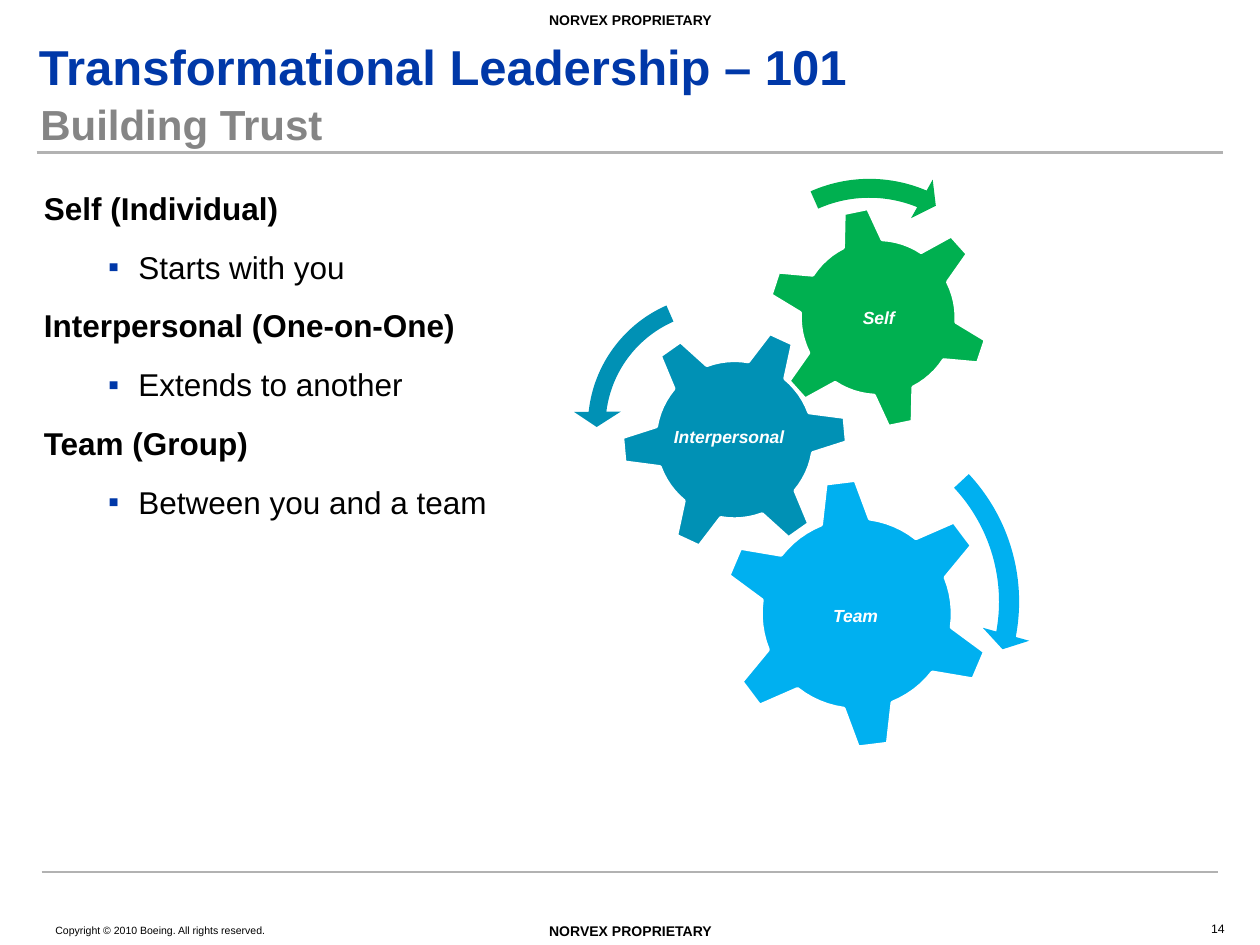
"""Build the Building Trust slide with its three meshing gears."""
from dataclasses import dataclass
from math import cos, radians, sin
from typing import NamedTuple

from lxml.etree import SubElement
from pptx import Presentation
from pptx.dml.color import RGBColor
from pptx.enum.shapes import MSO_CONNECTOR, MSO_SHAPE
from pptx.enum.text import MSO_ANCHOR, MSO_AUTO_SIZE, PP_ALIGN
from pptx.oxml.ns import qn
from pptx.util import Inches, Pt


@dataclass(frozen=True)
class Theme:
    font: str = "Arial"
    black: str = "000000"
    white: str = "FFFFFF"
    blue: str = "0038A8"
    gray: str = "858585"
    rule: str = "B2B2B2"
    green: str = "00B050"
    teal: str = "0091B5"
    sky: str = "00B0F0"
    heading_size: float = 28
    title_size: float = 24
    body_size: float = 18
    label_size: float = 10
    marking_size: float = 8
    number_size: float = 7
    copyright_size: float = 6


class Box(NamedTuple):
    left: float
    top: float
    width: float
    height: float


class Gear(NamedTuple):
    center_x: float
    center_y: float
    root_radius: float
    tip_radius: float
    first_tooth: float
    color: str


class TurnArrow(NamedTuple):
    preset: MSO_SHAPE
    box: Box
    rotation: float
    adjustments: tuple
    color: str


class Label(NamedTuple):
    text: str
    box: Box
    size: float
    color: str = "000000"
    bold: bool = False
    italic: bool = False
    align: PP_ALIGN = PP_ALIGN.LEFT
    anchor: MSO_ANCHOR = MSO_ANCHOR.TOP
    inset: float = 0.01
    left_inset: float = 0.01
    wrap: bool = True


class Topic(NamedTuple):
    heading: str
    detail: str


THEME = Theme()
TEETH = 6
ROOT_HALF_ANGLE = 14.8
TIP_HALF_ANGLE = 6.4
ARC_STEPS = 6

RULES = [(0.29, 9.71, 1.21, 2), (0.33, 9.67, 6.92, 1.5)]
TOPICS = [
    Topic("Self (Individual)", "Starts with you"),
    Topic("Interpersonal (One-on-One)", "Extends to another"),
    Topic("Team (Group)", "Between you and a team"),
]
GEARS = [
    Gear(5.83, 3.49, 0.63, 0.89, -5.2, THEME.teal),
    Gear(6.97, 2.52, 0.62, 0.87, -41.8, THEME.green),
    Gear(6.8, 4.87, 0.76, 1.06, -37, THEME.sky),
]
ARROWS = [
    TurnArrow(MSO_SHAPE.CIRCULAR_ARROW, Box(5.01, 3.18, 3.19, 3.19), 328.7,
              (0.05, 2.99, 25.15, 208.95, 0.06), THEME.sky),
    TurnArrow(MSO_SHAPE.LEFT_CIRCULAR_ARROW, Box(4.55, 2.22, 2.32, 2.32), 11.8,
              (0.06, 4.3, 104.89, 140.65, 0.08), THEME.teal),
    TurnArrow(MSO_SHAPE.CIRCULAR_ARROW, Box(5.65, 1.32, 2.5, 2.5), 70.9,
              (0.06, 3.94, 133.14, 105.08, 0.07), THEME.green),
]


def gear_label(text: str, box: Box, align: PP_ALIGN = PP_ALIGN.CENTER) -> Label:
    """Describe a white label lying on a gear."""
    return Label(text, box, THEME.label_size, THEME.white, True, True, align,
                 inset=0.05, left_inset=0.1)


def marking(top: float) -> Label:
    """Describe the proprietary marking at the given height."""
    return Label("NORVEX PROPRIETARY", Box(4.35, top, 1.31, 0.15), THEME.marking_size,
                 bold=True, align=PP_ALIGN.CENTER, wrap=False)


TITLE = Label("Building Trust", Box(0, 0.71, 10, 0.49), THEME.title_size, THEME.gray,
              True, anchor=MSO_ANCHOR.BOTTOM, left_inset=0.32)
LABELS = [
    marking(0.08),
    marking(7.31),
    Label("Copyright © 2010 Boeing. All rights reserved.", Box(0.43, 7.32, 2.93, 0.12),
          THEME.copyright_size),
    Label("Transformational Leadership – 101", Box(0, 0.28, 10, 0.48), THEME.heading_size,
          THEME.blue, True, anchor=MSO_ANCHOR.BOTTOM, inset=0, left_inset=0.31),
    Label("14", Box(6.99, 7.25, 2.74, 0.24), THEME.number_size, align=PP_ALIGN.RIGHT,
          anchor=MSO_ANCHOR.MIDDLE),
    gear_label("Interpersonal", Box(5.25, 3.33, 1.17, 0.27), PP_ALIGN.LEFT),
    gear_label("Self", Box(6.39, 2.39, 1.17, 0.27)),
    gear_label("Team", Box(6.08, 4.75, 1.42, 0.27)),
]


def set_font(paragraph, size: float, color: str, bold: bool, italic: bool = False) -> None:
    """Format a whole paragraph."""
    font = paragraph.font
    font.name, font.size, font.bold, font.italic = THEME.font, Pt(size), bold, italic
    font.color.rgb = RGBColor.from_string(color)


def write_label(shape, label: Label) -> None:
    """Place a shape and fill it with the label's single paragraph."""
    shape.left, shape.top, shape.width, shape.height = map(Inches, label.box)
    frame = shape.text_frame
    frame.auto_size = MSO_AUTO_SIZE.NONE
    frame.word_wrap = label.wrap
    frame.vertical_anchor = label.anchor
    frame.margin_top = frame.margin_bottom = Inches(label.inset)
    frame.margin_left = Inches(label.left_inset)
    frame.margin_right = Inches(0.1 if label.italic else label.inset)
    paragraph = frame.paragraphs[0]
    paragraph.text = label.text
    paragraph.alignment = label.align
    set_font(paragraph, label.size, label.color, label.bold, label.italic)


def draw_rule(slide, start: float, end: float, top: float, width: float) -> None:
    """Draw a horizontal gray rule."""
    line = slide.shapes.add_connector(MSO_CONNECTOR.STRAIGHT, Inches(start), Inches(top),
                                      Inches(end), Inches(top))
    line.line.color.rgb = RGBColor.from_string(THEME.rule)
    line.line.width = Pt(width)
    SubElement(line._element.spPr, qn("a:effectLst"))


def draw_topics(slide) -> None:
    """Write each topic as a bold heading and a bulleted detail."""
    frame = slide.shapes.add_textbox(*map(Inches, (0.25, 1.45, 8.83, 5.12))).text_frame
    frame.word_wrap = True
    lines = [(text, text == topic.heading) for topic in TOPICS for text in topic]
    for index, (text, is_heading) in enumerate(lines):
        paragraph = frame.add_paragraph() if index else frame.paragraphs[0]
        paragraph.text = text
        paragraph.space_after = Pt(12)
        if not is_heading:
            properties = paragraph._p.get_or_add_pPr()
            properties.set("marL", str(Inches(0.75)))
            properties.set("indent", str(Inches(-0.24)))
            color = SubElement(properties, qn("a:buClr"))
            SubElement(color, qn("a:srgbClr"), val=THEME.blue)
            SubElement(properties, qn("a:buFont"), typeface=THEME.font)
            SubElement(properties, qn("a:buChar"), char="▪")
        set_font(paragraph, THEME.body_size, THEME.black, is_heading)


def draw_gear(slide, gear: Gear) -> None:
    """Outline a gear from evenly spaced teeth joined by root arcs."""
    def point(radius: float, angle: float) -> tuple:
        return (Inches(gear.center_x + radius * cos(radians(angle))),
                Inches(gear.center_y + radius * sin(radians(angle))))

    pitch = 360 / TEETH
    gap = pitch - 2 * ROOT_HALF_ANGLE
    points = []
    for tooth in range(TEETH):
        angle = gear.first_tooth + tooth * pitch
        points += [point(gear.tip_radius, angle + side * TIP_HALF_ANGLE) for side in (-1, 1)]
        points += [point(gear.root_radius, angle + ROOT_HALF_ANGLE + gap * step / ARC_STEPS)
                   for step in range(ARC_STEPS + 1)]
    builder = slide.shapes.build_freeform(*points[0])
    builder.add_line_segments(points[1:], close=True)
    shape = builder.convert_to_shape()
    shape.shadow.inherit = False
    shape.fill.solid()
    shape.fill.fore_color.rgb = RGBColor.from_string(gear.color)
    shape.line.color.rgb = RGBColor.from_string(THEME.white)
    shape.line.width = Pt(2)


def draw_arrow(slide, arrow: TurnArrow) -> None:
    """Draw a curved arrow showing how a gear turns."""
    shape = slide.shapes.add_shape(arrow.preset, *map(Inches, arrow.box))
    shape.rotation = arrow.rotation
    for index, value in enumerate(arrow.adjustments):
        shape.adjustments[index] = value
    shape.shadow.inherit = False
    shape.fill.solid()
    shape.fill.fore_color.rgb = RGBColor.from_string(arrow.color)
    shape.line.fill.background()


def main() -> None:
    """Assemble and save the slide."""
    presentation = Presentation()
    presentation.slide_width, presentation.slide_height = Inches(10), Inches(7.5)
    slide = presentation.slides.add_slide(presentation.slide_layouts[5])
    write_label(slide.shapes.title, TITLE)
    slide.shapes.title.text_frame.paragraphs[0].line_spacing = 0.9
    for rule in RULES:
        draw_rule(slide, *rule)
    draw_topics(slide)
    for gear in GEARS:
        draw_gear(slide, gear)
    for arrow in ARROWS:
        draw_arrow(slide, arrow)
    for label in LABELS:
        write_label(slide.shapes.add_textbox(*map(Inches, label.box)), label)
    presentation.save("out.pptx")


if __name__ == "__main__":
    main()
